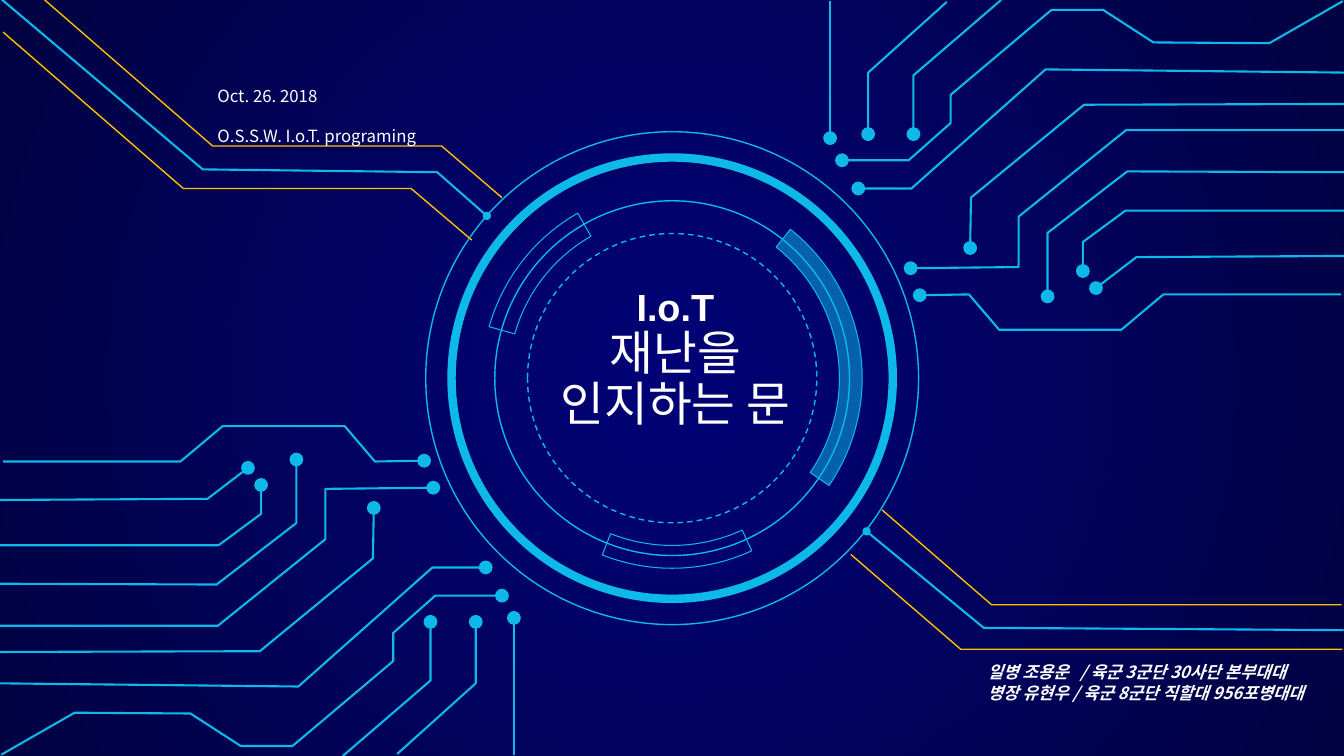
import pptx
import pptx.util
import pptx.dml.color
import pptx.oxml
import pptx.oxml.ns
from pptx.enum.dml import MSO_LINE
from pptx.enum.shapes import MSO_CONNECTOR, MSO_SHAPE
from pptx.enum.text import MSO_ANCHOR, MSO_AUTO_SIZE, PP_ALIGN

Cm, Pt = pptx.util.Cm, pptx.util.Pt
qn = pptx.oxml.ns.qn
W, H = 33.87, 19.05
COLORS = {"core": "010276", "edge": "010242", "cyan": "0CB9E8", "amber": "FFC000", "white": "FFFFFF"}
KOREAN = "Noto Sans CJK KR"

TRACES = [
    [(-0.08, 16.43), (6.55, 16.41), (9.4, 14.07), (9.42, 12.8)],
    [(-0.03, 15.77), (5.49, 15.77), (8.2, 13.59), (8.2, 12.32), (10.92, 12.29)],
    [(0.08, 11.63), (4.55, 11.63), (5.61, 10.74), (8.69, 10.74), (9.45, 11.63), (10.69, 11.61)],
    [(-0.03, 12.6), (5.23, 12.57), (6.25, 11.79)],
    [(-0.03, 13.74), (5.51, 13.74), (6.58, 12.95), (6.58, 12.22)],
    [(0, 14.71), (5.46, 14.73), (7.47, 13.18), (7.47, 11.58)],
    [(0, 17.22), (7.52, 17.3), (10.9, 14.3), (12.24, 14.3)],
    [(12.95, 19.02), (12.95, 15.57)],
    [(0.03, 19.02), (1.88, 17.96), (4.8, 17.98), (6.07, 18.8), (7.37, 18.8),
     (9.91, 16.66), (9.91, 15.95), (10.97, 15.01), (12.65, 15.01)],
    [(8.64, 19.05), (10.85, 17.15), (10.85, 15.67)],
    [(10.01, 19), (11.99, 17.22), (11.99, 15.67)],
]
RAILS = [
    [(1.07, -0.05), (5.36, 3.68), (11.13, 3.68), (12.65, 4.98)],
    [(0.08, 0.81), (4.62, 4.75), (10.36, 4.75), (11.89, 6.05)],
    [(22.23, 12.85), (24.99, 15.24), (33.81, 15.24)],
    [(21.44, 13.97), (24.21, 16.36), (33.83, 16.36)],
]
FEEDS = [
    [(0, -0.05), (5.11, 4.27), (11.02, 4.34), (12.27, 5.44)],
    [(33.86, 15.88), (24.79, 15.82), (21.84, 13.39)],
]


def rgb(name):
    return pptx.dml.color.RGBColor.from_string(COLORS[name])


def xml(tag, **attrs):
    el = pptx.oxml.parse_xml('<%s xmlns:a="%s"/>' % (tag, pptx.oxml.ns.nsuri("a")))
    for key, value in attrs.items():
        el.set(key, value)
    return el


def set_line(sp, color, width):
    sp.line.color.rgb = rgb(color)
    sp.line.width = Pt(width)


def background(s):
    fill = s.background.fill
    fill.gradient()
    for stop, name in zip(fill.gradient_stops, ("core", "edge")):
        stop.color.rgb = rgb(name)
    grad = s.background._cSld.find(".//" + qn("a:gradFill"))
    grad.remove(grad.find(qn("a:lin")))
    focus = xml("a:path", path="circle")
    focus.append(xml("a:fillToRect", l="50000", t="50000", r="50000", b="50000"))
    grad.append(focus)


def wire(s, box, points, color, width, dot=None):
    x, y = box[:2]
    pts = [(Cm(x + px), Cm(y + py)) for px, py in points]
    if len(pts) == 2:
        sp = s.shapes.add_connector(MSO_CONNECTOR.STRAIGHT, *pts[0], *pts[1])
        set_line(sp, color, width)
        sp._element.spPr.append(xml("a:effectLst"))
    else:
        fb = s.shapes.build_freeform(*pts[0])
        fb.add_line_segments(pts[1:], close=False)
        sp = fb.convert_to_shape()
        sp.shadow.inherit = False
        sp.fill.background()
        set_line(sp, color, width)
    if dot:
        sp.line._get_or_add_ln().append(xml("a:tailEnd", type="oval", w=dot, len=dot))


def circuit(s, box):
    w, h = box[2:]
    for trace in TRACES:
        wire(s, box, trace, "cyan", 1.5, "lg")
        wire(s, box, [(w - x, h - y) for x, y in trace], "cyan", 1.5, "lg")
    for rail in RAILS:
        wire(s, box, rail, "amber", 1)
    for feed in FEEDS:
        wire(s, box, feed, "cyan", 1.5, "med")


def ring(s, box, size, width, kind=MSO_SHAPE.OVAL, adj=()):
    x, y, w, h = box
    sp = s.shapes.add_shape(kind, Cm(x + (w - size) / 2), Cm(y + (h - size) / 2), Cm(size), Cm(size))
    for i, value in enumerate(adj):
        sp.adjustments[i] = value
    sp.shadow.inherit = False
    sp.fill.background()
    set_line(sp, "cyan", width)
    return sp


def dial(s, box):
    for size, width in ((11.12, 6), (8.94, 1), (12.42, 1)):
        ring(s, box, size, width)
    ring(s, box, 7.29, 1).line.dash_style = MSO_LINE.DASH
    arcs = [ring(s, box, 9.58, 0.75, MSO_SHAPE.BLOCK_ARC, adj) for adj in (
        (185.07, 20.62, 0.06), (117.42, 144.14, 0.07), (39.14, 66.95, 0.06))]
    arcs[0].fill.solid()
    arcs[0].fill.fore_color.rgb = rgb("cyan")
    arcs[0].fill._xPr.find(".//" + qn("a:srgbClr")).append(xml("a:alpha", val="52000"))


def write(sp, lines, size, spacing=1.0, align=PP_ALIGN.LEFT, bold=False, italic=False):
    tf = sp.text_frame
    tf.word_wrap = True
    tf.auto_size = MSO_AUTO_SIZE.NONE
    tf.vertical_anchor = MSO_ANCHOR.TOP
    tf.text = "\n".join(lines)
    for p in tf.paragraphs:
        p.alignment = align
        p.line_spacing = spacing
        for r in p.runs:
            f = r.font
            f.size, f.bold, f.italic, f.name = Pt(size), bold, italic, KOREAN
            f.color.rgb = rgb("white")
            f._element.append(xml("a:ea", typeface=KOREAN))


def title(s, box):
    sp = s.shapes.title
    sp.left, sp.top, sp.width, sp.height = map(Cm, box)
    write(sp, ["I.o.T", "재난을", "인지하는 문"], 34, 0.9, PP_ALIGN.CENTER)
    f = sp.text_frame.paragraphs[0].runs[0].font
    f.name, f.size, f.bold = "Arial", Pt(27), True


def caption(s, box, lines, **style):
    write(s.shapes.add_textbox(*map(Cm, box)), lines, 12, **style)


def main():
    prs = pptx.Presentation()
    prs.slide_width, prs.slide_height = Cm(W), Cm(H)
    s = prs.slides.add_slide(prs.slide_layouts[5])
    background(s)
    dial(s, (10.73, 3.32, 12.42, 12.42))
    circuit(s, (0, 0, W, H))
    title(s, (13.59, 7.14, 6.86, 3.86))
    caption(s, (5.23, 1.52, 9.12, 2.29), ["Oct. 26. 2018", "O.S.S.W. I.o.T. programing"], spacing=2.0)
    caption(s, (24.64, 16.56, 8.97, 1.24),
            ["일병 조용운   / 육군 3군단 30사단 본부대대", "병장 유현우 / 육군 8군단 직할대 956포병대대"],
            bold=True, italic=True)
    prs.save("out.pptx")


if __name__ == "__main__":
    main()
